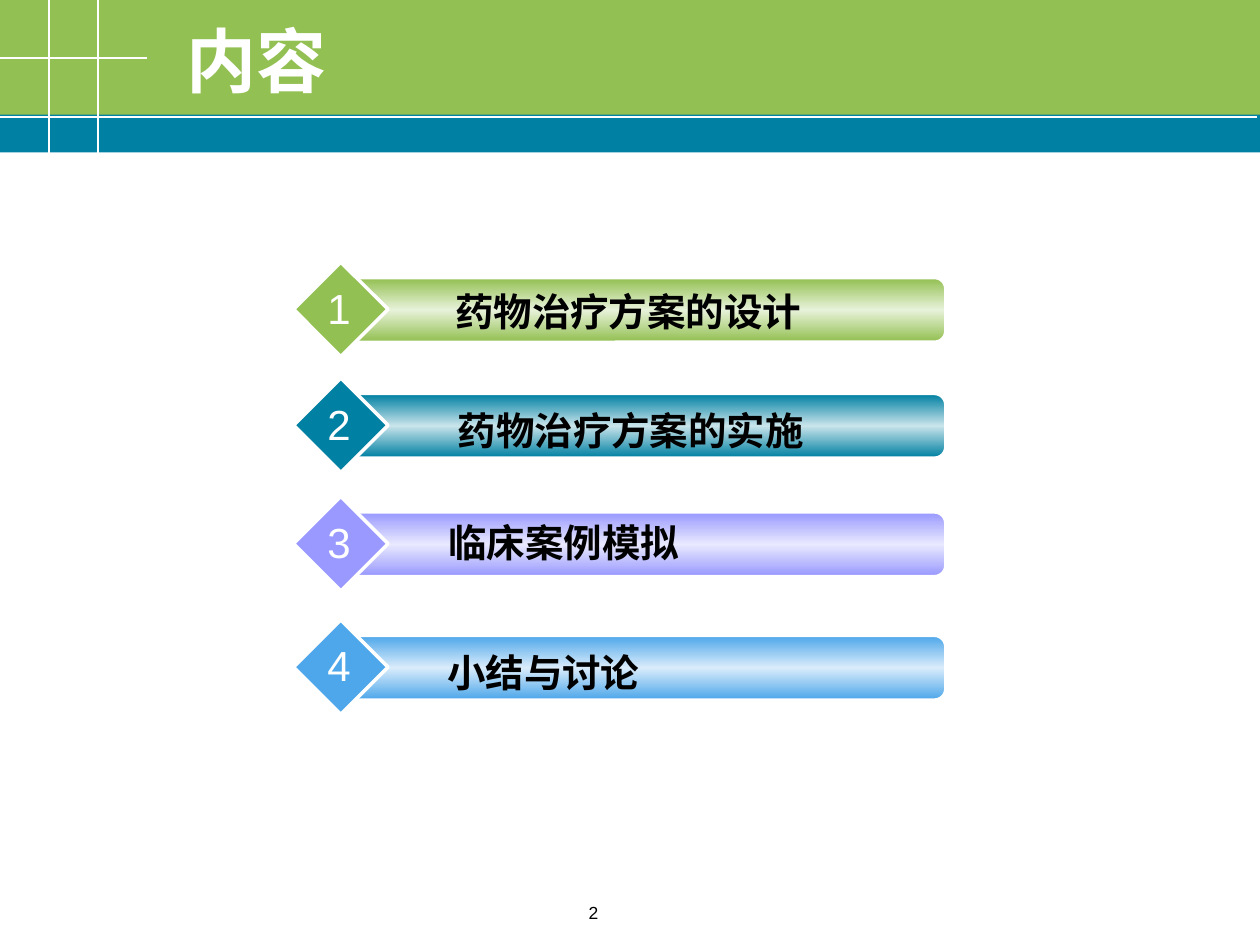
from copy import deepcopy
from dataclasses import dataclass

from lxml.etree import SubElement
from pptx import Presentation
from pptx.dml.color import RGBColor
from pptx.enum.shapes import MSO_CONNECTOR, MSO_SHAPE
from pptx.enum.text import MSO_ANCHOR, MSO_AUTO_SIZE, PP_ALIGN
from pptx.oxml.ns import qn
from pptx.util import Pt

PX = 9144
WHITE = RGBColor(0xFF, 0xFF, 0xFF)
BLACK = RGBColor(0, 0, 0)
GREEN = RGBColor(0x93, 0xC0, 0x52)
PALE_GREEN = RGBColor(0xE8, 0xF2, 0xDA)
TEAL = RGBColor(0x00, 0x80, 0xA2)
PALE_TEAL = RGBColor(0xC9, 0xE4, 0xEB)
VIOLET = RGBColor(0x99, 0x99, 0xFF)
PALE_VIOLET = RGBColor(0xE9, 0xE9, 0xFF)
BLUE = RGBColor(0x4E, 0xA7, 0xEA)
PALE_BLUE = RGBColor(0xDA, 0xEC, 0xFB)

TITLE_FONT = dict(name="Arial", size=Pt(40), bold=True)
LABEL_FONT = dict(name="Arial", size=Pt(22), bold=True)
NUMBER_FONT = dict(name="Arial", size=Pt(24), bold=False)
PAGE_FONT = dict(name="Arial", size=Pt(10), bold=False)


@dataclass
class Box:
    x: int
    y: int
    w: int
    h: int

    def emu(self) -> list[int]:
        return [v * PX for v in (self.x, self.y, self.w, self.h)]


@dataclass
class Item:
    number: str
    text: str
    top: int
    color: RGBColor
    pale: RGBColor
    label_x: int
    label_dy: int
    align: PP_ALIGN = PP_ALIGN.CENTER
    inset: int = 10


ITEMS = [
    Item("1", "药物治疗方案的设计", 208, GREEN, PALE_GREEN, 311, 16),
    Item("2", "药物治疗方案的实施", 300, TEAL, PALE_TEAL, 313, 18),
    Item("3", "临床案例模拟", 394, VIOLET, PALE_VIOLET, 319, 13, PP_ALIGN.LEFT, 37),
    Item("4", "小结与讨论", 492, BLUE, PALE_BLUE, 300, 18, PP_ALIGN.LEFT, 55),
]
GRID_LINES = [(78, 0, 78, 124), (0, 46, 117, 46), (0, 93, 998, 93), (39, 0, 39, 124)]


def add_block(shapes, kind: MSO_SHAPE, box: Box, color: RGBColor, line: int = 0):
    sp = shapes.add_shape(kind, *box.emu())
    sp.shadow.inherit = False
    sp.fill.solid()
    sp.fill.fore_color.rgb = color
    if line:
        sp.line.color.rgb = WHITE
        sp.line.width = Pt(line)
    else:
        sp.line.fill.background()
    return sp


def add_line(shapes, x1: int, y1: int, x2: int, y2: int) -> None:
    c = shapes.add_connector(MSO_CONNECTOR.STRAIGHT, x1 * PX, y1 * PX, x2 * PX, y2 * PX)
    c.line.color.rgb = WHITE
    c.line.width = Pt(1)
    SubElement(c.element.spPr, qn("a:effectLst"))


def write(sp, text: str, font: dict, color: RGBColor, align: PP_ALIGN,
          **frame) -> None:
    tf = sp.text_frame
    settings = dict(word_wrap=True, auto_size=MSO_AUTO_SIZE.NONE,
                    vertical_anchor=MSO_ANCHOR.TOP)
    for name, value in (settings | frame).items():
        setattr(tf, name, value)
    p = tf.paragraphs[0]
    p.alignment = align
    r = p.add_run()
    r.text = text
    for name, value in font.items():
        setattr(r.font, name, value)
    r.font.color.rgb = color


def add_text(shapes, box: Box, *args, **frame) -> None:
    write(shapes.add_textbox(*box.emu()), *args, **frame)


def add_bar(shapes, box: Box, color: RGBColor, pale: RGBColor) -> None:
    bar = add_block(shapes, MSO_SHAPE.ROUNDED_RECTANGLE, box, color, 1)
    bar.adjustments[0] = 0.167
    bar.fill.gradient()
    bar.fill.gradient_angle = 90
    stops = next(bar.element.iter(qn("a:gsLst")))
    stops.append(deepcopy(stops[0]))
    for i, (stop, rgb) in enumerate(zip(bar.fill.gradient_stops, (color, pale, color))):
        stop.color.rgb = rgb
        stop.position = i / 2


def add_item(s, item: Item) -> None:
    shapes = s.shapes.add_group_shape().shapes
    top = item.top
    grow = MSO_AUTO_SIZE.SHAPE_TO_FIT_TEXT
    add_bar(shapes, Box(275, top + 13, 475, 50), item.color, item.pale)
    add_block(shapes, MSO_SHAPE.DIAMOND, Box(233, top, 75, 75), item.color, 2)
    add_text(shapes, Box(item.label_x, top + item.label_dy, 375, 47), item.text,
             LABEL_FONT, BLACK, item.align, auto_size=grow, margin_left=item.inset * PX)
    add_text(shapes, Box(250, top + 11, 38, 50), item.number, NUMBER_FONT, WHITE,
             PP_ALIGN.CENTER, auto_size=grow, word_wrap=False)


def add_header(s) -> None:
    add_block(s.shapes, MSO_SHAPE.RECTANGLE, Box(0, 79, 1000, 42), TEAL)
    add_block(s.shapes, MSO_SHAPE.RECTANGLE, Box(0, 0, 1000, 91), GREEN)
    for ends in GRID_LINES:
        add_line(s.shapes, *ends)
    title = s.shapes.title
    title.left, title.top, title.width, title.height = Box(138, 21, 775, 53).emu()
    write(title, "内容", TITLE_FONT, WHITE, PP_ALIGN.LEFT,
          vertical_anchor=MSO_ANCHOR.MIDDLE)
    title.element.getparent().append(title.element)


def main() -> None:
    prs = Presentation()
    prs.slide_width, prs.slide_height = 1000 * PX, 750 * PX
    s = prs.slides.add_slide(prs.slide_layouts[5])
    add_header(s)
    for item in ITEMS:
        add_item(s, item)
    add_text(s.shapes, Box(425, 711, 92, 29), "2", PAGE_FONT, BLACK, PP_ALIGN.CENTER)
    prs.save("out.pptx")


if __name__ == "__main__":
    main()
